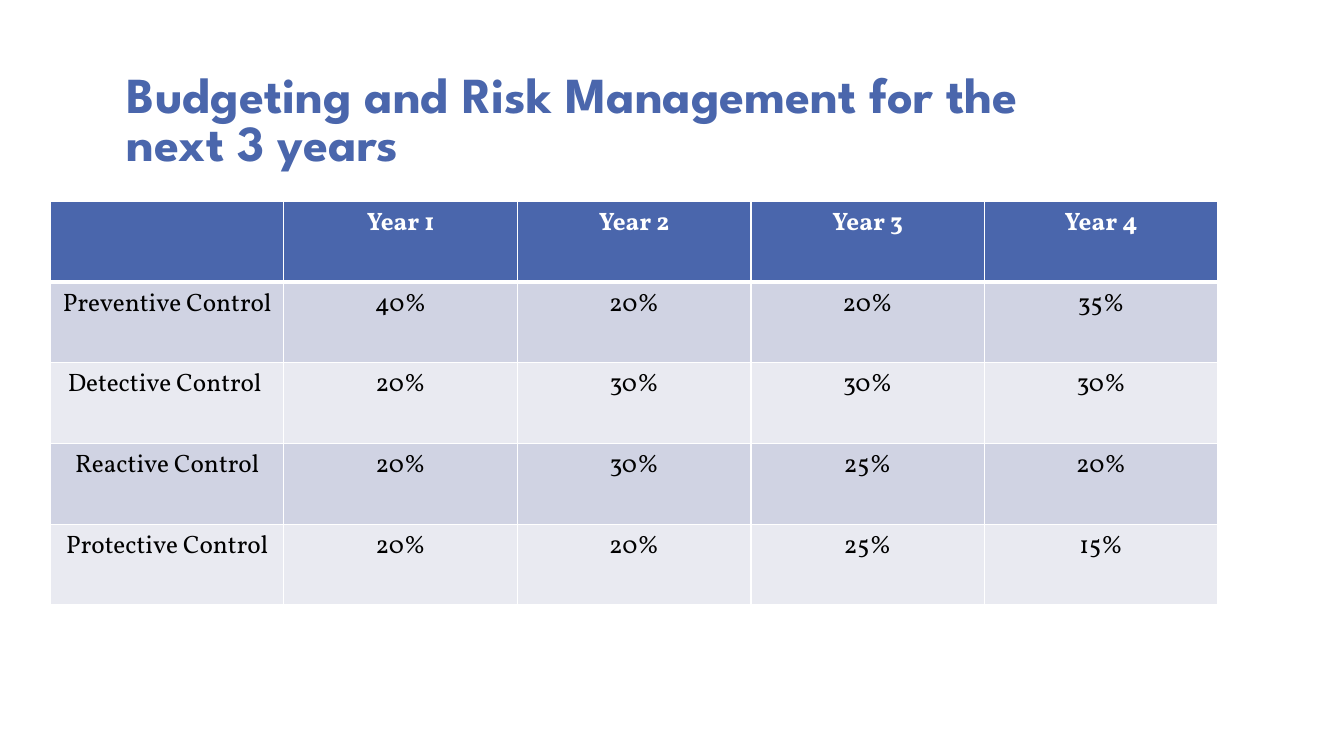
"""Build the budgeting and risk management slide."""
from dataclasses import dataclass

import lxml.etree
import pptx
import pptx.dml.color
import pptx.enum.text
import pptx.oxml.ns
import pptx.slide
import pptx.table
import pptx.text.text
import pptx.util

Pt = pptx.util.Pt
COLORS = {
    "blue": "4A66AC",
    "white": "FFFFFF",
    "black": "000000",
    "dark band": "D0D3E3",
    "light band": "E9EAF1",
}


@dataclass(frozen=True)
class RowStyle:
    """Look of one table row."""
    fill: str
    color: str
    bold: bool = False
    top: float = 1
    bottom: float = 1


@dataclass(frozen=True)
class TableRow:
    """Texts of one table row with their style."""
    texts: tuple[str, ...]
    style: RowStyle


HEADER = RowStyle("blue", "white", bold=True, bottom=3)
FIRST = RowStyle("dark band", "black", top=3)
DARK = RowStyle("dark band", "black")
LIGHT = RowStyle("light band", "black")

ROWS = (
    TableRow(("", "Year 1", "Year 2", "Year 3", "Year 4"), HEADER),
    TableRow(("Preventive Control", "40%", "20%", "20%", "35%"), FIRST),
    TableRow(("Detective Control ", "20%", "30%", "30%", "30%"), LIGHT),
    TableRow(("Reactive Control", "20%", "30%", "25%", "20%"), DARK),
    TableRow(("Protective Control", "20%", "20%", "25%", "15%"), LIGHT),
)


def rgb(name: str) -> pptx.dml.color.RGBColor:
    """Return the named colour."""
    return pptx.dml.color.RGBColor.from_string(COLORS[name])


def set_font(p: pptx.text.text._Paragraph, face: str, size: float,
             color: str, bold: bool) -> None:
    """Set the font of a paragraph."""
    p.font.name = face
    p.font.size = Pt(size)
    p.font.bold = bold
    p.font.color.rgb = rgb(color)


def set_borders(cell: pptx.table._Cell, style: RowStyle) -> None:
    """Give a cell white borders."""
    qn = pptx.oxml.ns.qn
    tc_pr = cell._tc.get_or_add_tcPr()
    widths = {"lnL": 1, "lnR": 1, "lnT": style.top, "lnB": style.bottom}
    for tag, width in widths.items():
        ln = lxml.etree.SubElement(tc_pr, qn(f"a:{tag}"), w=str(int(Pt(width))))
        fill = lxml.etree.SubElement(ln, qn("a:solidFill"))
        lxml.etree.SubElement(fill, qn("a:srgbClr"), val=COLORS["white"])


def draw_cell(cell: pptx.table._Cell, text: str, style: RowStyle) -> None:
    """Write and format one cell."""
    set_borders(cell, style)
    cell.fill.solid()
    cell.fill.fore_color.rgb = rgb(style.fill)
    cell.text = text
    p = cell.text_frame.paragraphs[0]
    p.alignment = pptx.enum.text.PP_ALIGN.CENTER
    set_font(p, "Vollkorn", 18, style.color, style.bold)


def draw_title(s: pptx.slide.Slide, text: str) -> None:
    """Place and format the slide title."""
    sp = s.shapes.title
    sp.left, sp.top, sp.width, sp.height = Pt(83.5), Pt(41.8), Pt(684), Pt(84.2)
    tf = sp.text_frame
    tf.text = text
    tf.word_wrap = True
    tf.auto_size = pptx.enum.text.MSO_AUTO_SIZE.NONE
    tf.vertical_anchor = pptx.enum.text.MSO_ANCHOR.BOTTOM
    p = tf.paragraphs[0]
    p.alignment = pptx.enum.text.PP_ALIGN.LEFT
    p.line_spacing = 0.8
    set_font(p, "League Spartan", 36, "blue", True)


def draw_table(s: pptx.slide.Slide, rows: tuple[TableRow, ...]) -> None:
    """Draw the budget table."""
    frame = s.shapes.add_table(len(rows), len(rows[0].texts),
                               Pt(36), Pt(144), Pt(834), Pt(288))
    for i, row in enumerate(rows):
        for j, text in enumerate(row.texts):
            draw_cell(frame.table.cell(i, j), text, row.style)


def main() -> None:
    """Create and save the presentation."""
    prs = pptx.Presentation()
    prs.slide_width, prs.slide_height = Pt(960), Pt(540)
    s = prs.slides.add_slide(prs.slide_layouts.get_by_name("Title Only"))
    draw_title(s, "Budgeting and Risk Management for the next 3 years")
    draw_table(s, ROWS)
    prs.save("out.pptx")


if __name__ == "__main__":
    main()
